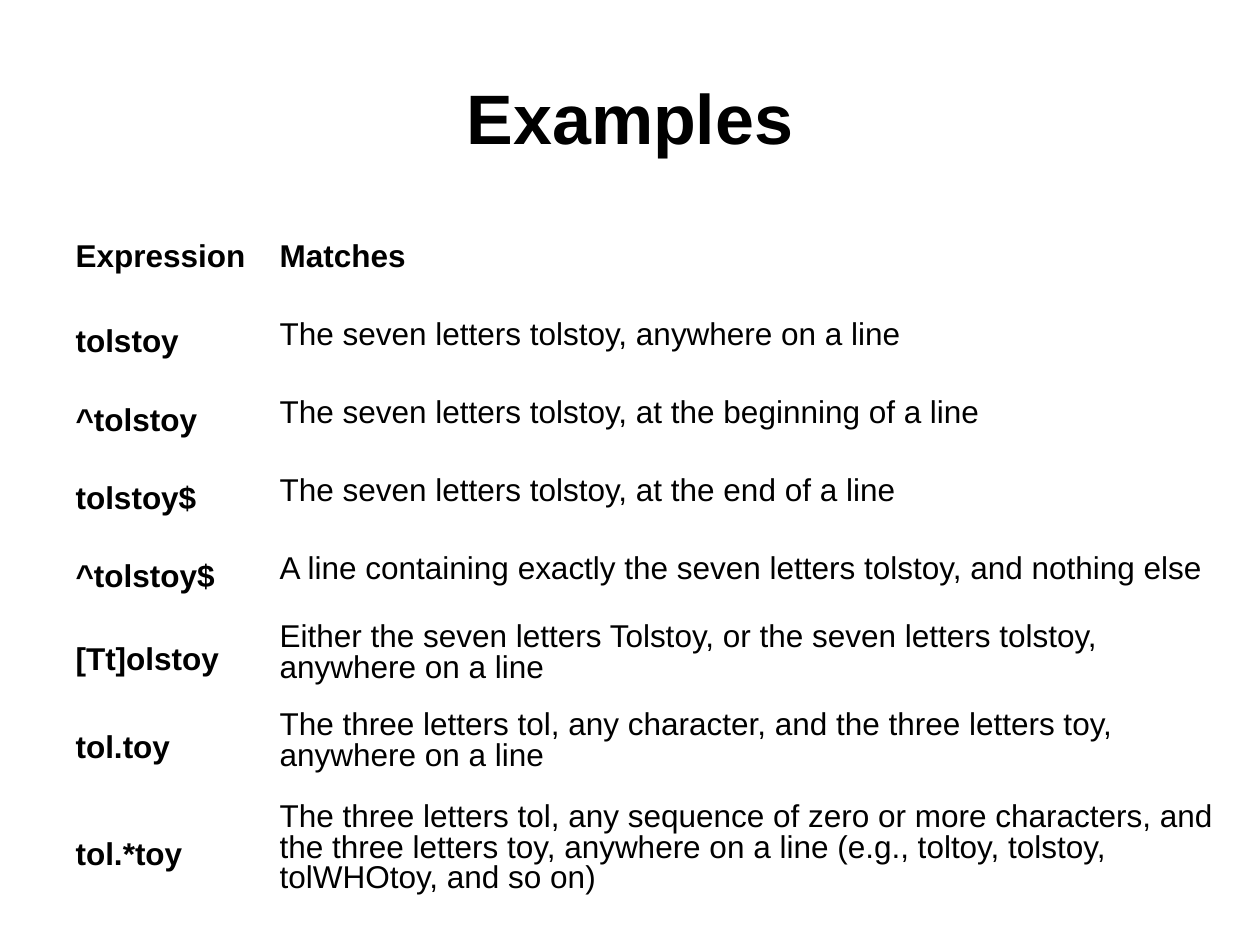
from typing import NamedTuple

from pptx import Presentation
from pptx.dml.color import RGBColor
from pptx.enum.text import MSO_ANCHOR as Anchor, PP_ALIGN as Align
from pptx.util import Inches, Pt

COLORS = {"text": "000000", "background": "FFFFFF"}
TITLE_ONLY = 5


class CellStyle(NamedTuple):
    bold: bool
    line_spacing: float
    margin_top: float


class Example(NamedTuple):
    expression: str
    matches: str
    height: float = 0.62


HEADING = CellStyle(True, 0.87, 0.03)
EXPRESSION = CellStyle(True, 1.25, 0.05)
MATCHES = CellStyle(False, 0.87, 0.03)

COLUMN_WIDTHS = (1.62, 7.67)
ROWS = [
    Example("Expression", "Matches"),
    Example("tolstoy", "The seven letters tolstoy, anywhere on a line"),
    Example("^tolstoy", "The seven letters tolstoy, at the beginning of a line"),
    Example("tolstoy$", "The seven letters tolstoy, at the end of a line"),
    Example("^tolstoy$", "A line containing exactly the seven letters tolstoy, "
            "and nothing else"),
    Example("[Tt]olstoy", "Either the seven letters Tolstoy, or the seven letters "
            "tolstoy, anywhere on a line", 0.7),
    Example("tol.toy", "The three letters tol, any character, and the three letters "
            "toy, anywhere on a line", 0.7),
    Example("tol.*toy", "The three letters tol, any sequence of zero or more "
            "characters, and the three letters toy, anywhere on a line "
            "(e.g., toltoy, tolstoy, tolWHOtoy, and so on)", 1),
]


def format_font(font, size: float, bold: bool) -> None:
    for attribute, value in {"name": "Arial", "size": Pt(size), "bold": bold}.items():
        setattr(font, attribute, value)
    font.color.rgb = RGBColor.from_string(COLORS["text"])


def add_title(slide, text: str) -> None:
    title = slide.shapes.title
    place = {"left": 0.5, "top": 0.3, "width": 9, "height": 1.25}
    for attribute, value in place.items():
        setattr(title, attribute, Inches(value))
    title.text_frame.text = text
    title.text_frame.vertical_anchor = Anchor.MIDDLE
    paragraph = title.text_frame.paragraphs[0]
    paragraph.alignment = Align.CENTER
    format_font(paragraph.runs[0].font, 40, True)


def fill_cell(cell, text: str, style: CellStyle) -> None:
    cell.fill.background()
    cell.text = text
    cell.vertical_anchor = Anchor.MIDDLE
    margins = {"margin_left": 0.1, "margin_right": 0.1,
               "margin_top": style.margin_top, "margin_bottom": 0.05}
    for attribute, value in margins.items():
        setattr(cell, attribute, Inches(value))
    paragraph = cell.text_frame.paragraphs[0]
    paragraph.line_spacing = style.line_spacing
    format_font(paragraph.runs[0].font, 18, style.bold)


def add_examples(slide, rows: list[Example]) -> None:
    frame = slide.shapes.add_table(
        len(rows), len(COLUMN_WIDTHS), Inches(0.5), Inches(1.75),
        Inches(sum(COLUMN_WIDTHS)), Inches(sum(row.height for row in rows)))
    table = frame.table
    table.first_row = table.horz_banding = False
    for column, width in zip(table.columns, COLUMN_WIDTHS):
        column.width = Inches(width)
    for index, row in enumerate(rows):
        table.rows[index].height = Inches(row.height)
        styles = (EXPRESSION, MATCHES) if index else (HEADING, HEADING)
        texts = (row.expression, row.matches)
        for column, (text, style) in enumerate(zip(texts, styles)):
            fill_cell(table.cell(index, column), text, style)


def main() -> None:
    deck = Presentation()
    deck.slide_width, deck.slide_height = Inches(10), Inches(7.5)
    slide = deck.slides.add_slide(deck.slide_layouts[TITLE_ONLY])
    background = slide.background.fill
    background.solid()
    background.fore_color.rgb = RGBColor.from_string(COLORS["background"])

    # Heading, then the table of regular expressions
    add_title(slide, "Examples")
    add_examples(slide, ROWS)
    deck.save("out.pptx")


if __name__ == "__main__":
    main()
